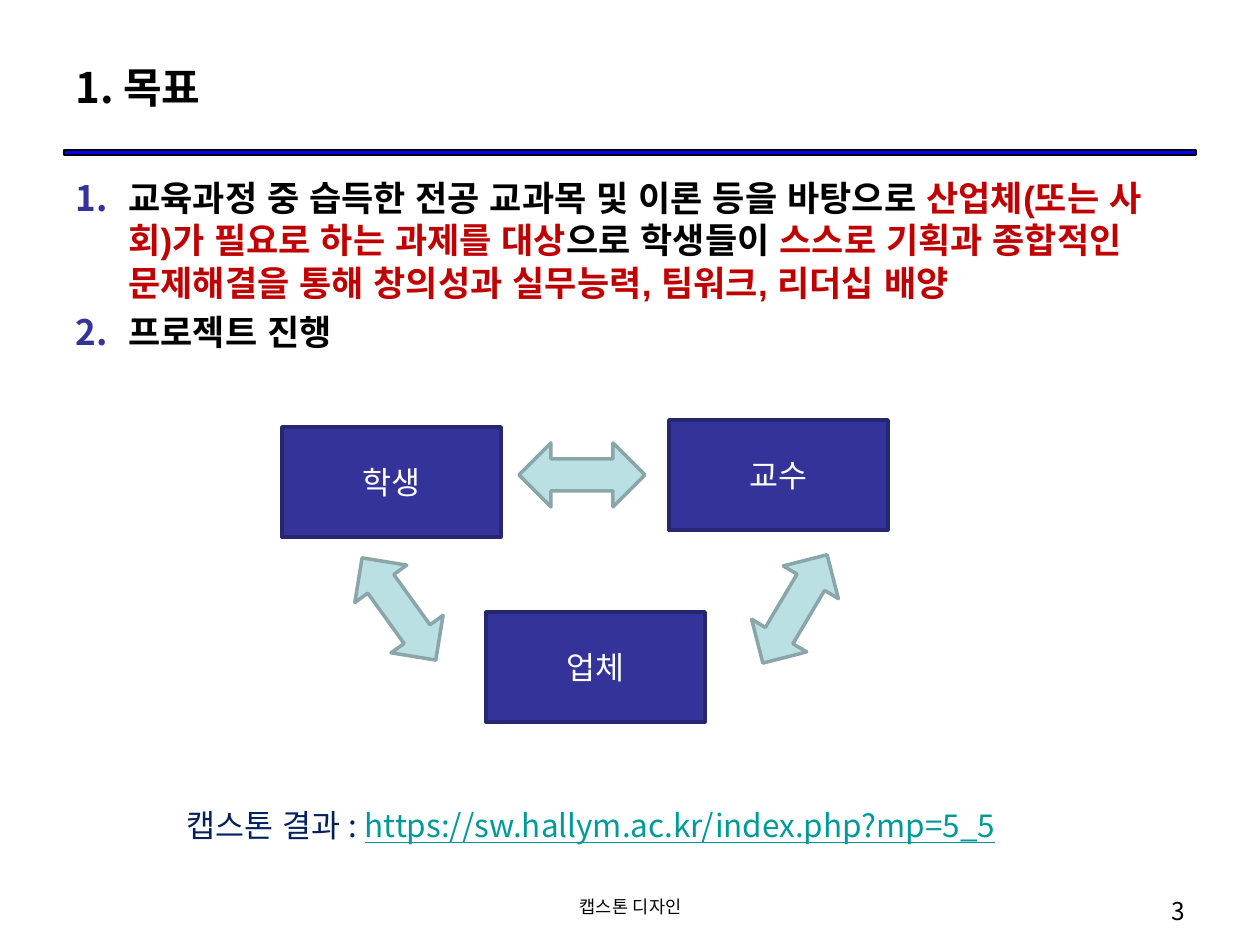
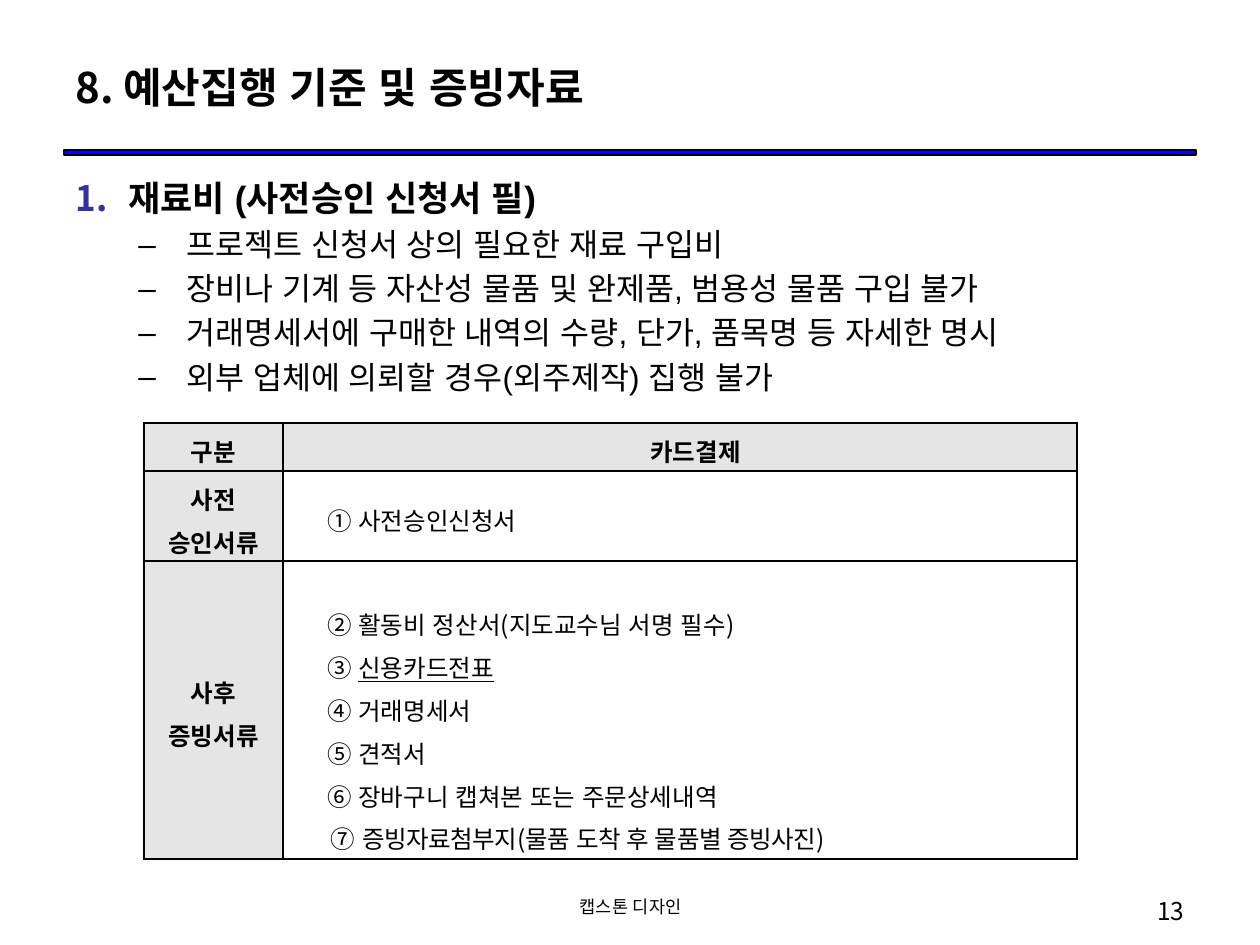
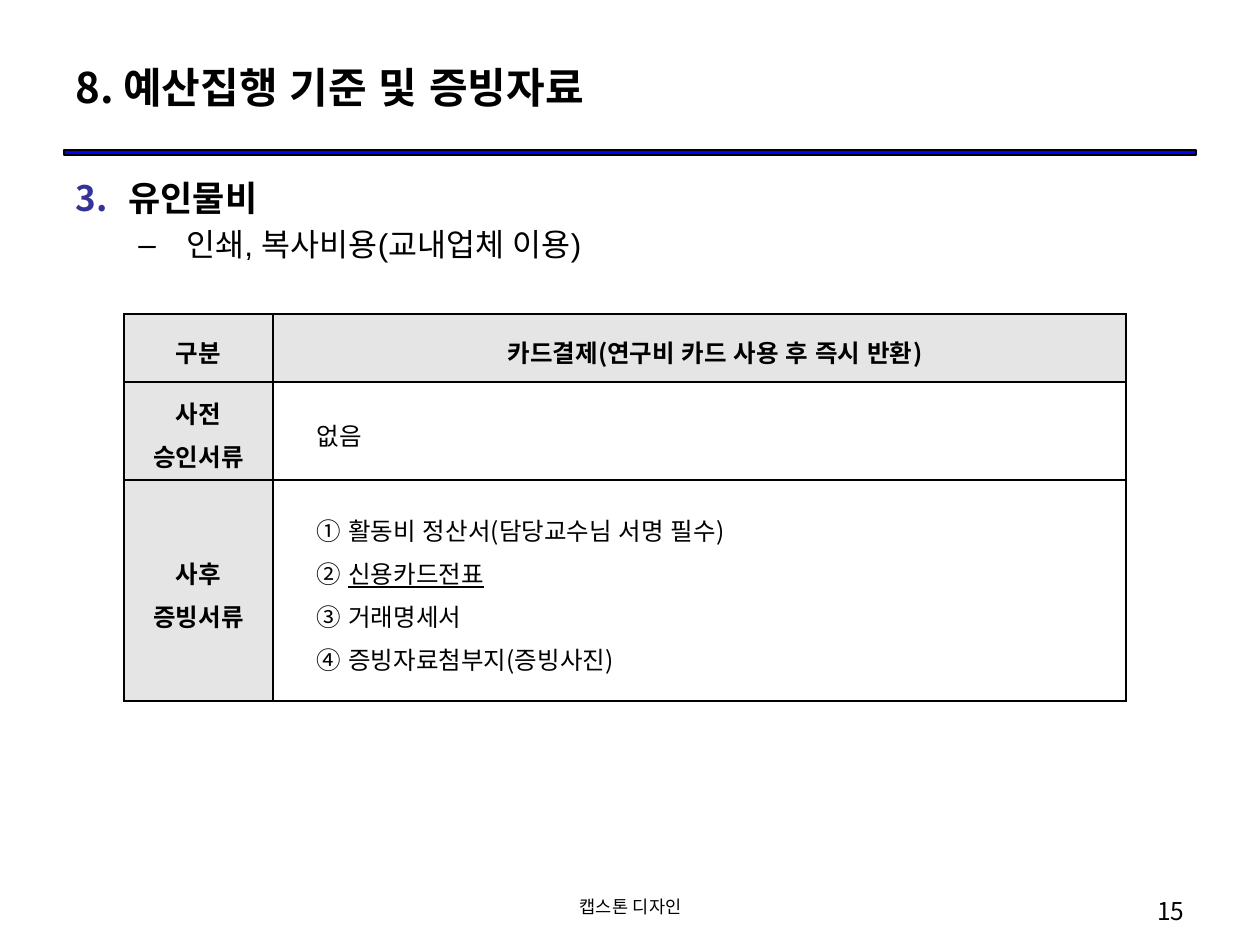
from lxml.etree import SubElement
from pptx import Presentation
from pptx.dml.color import RGBColor
from pptx.enum.lang import MSO_LANGUAGE_ID as Language
from pptx.enum.shapes import MSO_SHAPE as Shape
from pptx.enum.text import MSO_ANCHOR as Anchor, PP_ALIGN as Align
from pptx.oxml.ns import qn
from pptx.util import Pt

PX = 914400 / 126
SANS = "Noto Sans CJK KR"
LATIN = "Arial"
BLACK, WHITE, RED = "000000", "FFFFFF", "C00000"
INDIGO, INDIGO_EDGE = "333399", "262671"
PALE, PALE_EDGE = "BBE0E3", "8AA6A8"
NAVY, TEAL, GRAY, BLUE = "002060", "009999", "E5E5E5", "0000FF"
BUDGET = "8. 예산집행 기준 및 증빙자료"


def px(length):
    return round(length * PX)


def color(value):
    return RGBColor.from_string(value)


def put(paragraph, text, size=14, ink=BLACK, bold=False, underline=False,
        font=SANS, tracking=None):
    run = paragraph.add_run()
    run.text = text
    face = run.font
    face.size, face.bold, face.underline = Pt(size), bold, underline
    face.language_id = Language.KOREAN
    face.color.rgb = color(ink)
    face.name = font
    properties = run._r.get_or_add_rPr()
    SubElement(properties, qn("a:ea"), typeface=SANS)
    if tracking:
        properties.set("spc", str(tracking))


def indent(paragraph, left, hanging):
    properties = paragraph._p.get_or_add_pPr()
    properties.set("marL", str(px(left)))
    properties.set("indent", str(px(-hanging)))
    return properties


def paragraph_at(frame, index):
    return frame.paragraphs[0] if index == 0 else frame.add_paragraph()


class Deck:
    def __init__(self):
        self.show = Presentation()
        self.show.slide_width, self.show.slide_height = px(1260), px(945)
        self.slide = None

    def page(self, title, number):
        self.slide = self.show.slides.add_slide(self.show.slide_layouts[6])
        self.shape(Shape.RECTANGLE, 64, 150, 1132, 5, BLUE, BLACK, 0.75)
        self.text(63, 38, 1134, 97, [(title, dict(size=24, bold=True))], anchor=Anchor.MIDDLE)
        self.text(431, 890, 399, 37, [("캡스톤 디자인", dict(size=10))], Align.CENTER)
        self.text(903, 890, 294, 37, [(str(number), {})], Align.RIGHT)

    def box(self, x, y, w, h, wrap=True):
        frame = self.slide.shapes.add_textbox(px(x), px(y), px(w), px(h)).text_frame
        frame.word_wrap = wrap
        return frame

    def text(self, x, y, w, h, runs, align=Align.LEFT, anchor=Anchor.TOP, wrap=True):
        frame = self.box(x, y, w, h, wrap)
        frame.vertical_anchor = anchor
        paragraph = frame.paragraphs[0]
        paragraph.alignment = align
        for content, style in runs:
            put(paragraph, content, **style)

    def shape(self, kind, x, y, w, h, fill, edge, weight=2, rotation=0, label=None):
        shape = self.slide.shapes.add_shape(kind, px(x), px(y), px(w), px(h))
        shape.shadow.inherit = False
        shape.fill.solid()
        shape.fill.fore_color.rgb = color(fill)
        shape.line.color.rgb = color(edge)
        shape.line.width = Pt(weight)
        shape.rotation = rotation
        if label:
            shape.text_frame.vertical_anchor = Anchor.MIDDLE
            paragraph = shape.text_frame.paragraphs[0]
            paragraph.alignment = Align.CENTER
            put(paragraph, label, size=18, ink=WHITE)

    def outline(self, items, start=1):
        frame = self.box(63, 170, 1134, 719)
        frame.margin_top = px(7)
        for index, (level, runs) in enumerate(items):
            paragraph = paragraph_at(frame, index)
            size = (20, 18)[level]
            properties = indent(paragraph, *((53, 53), (111, 48))[level])
            if level:
                SubElement(properties, qn("a:buFont"), typeface=LATIN)
                SubElement(properties, qn("a:buChar"), char="–")
            else:
                tint = SubElement(properties, qn("a:buClr"))
                SubElement(tint, qn("a:srgbClr"), val=INDIGO)
                SubElement(properties, qn("a:buFont"), typeface=SANS)
                SubElement(properties, qn("a:buAutoNum"), type="arabicPeriod", startAt=str(start))
            paragraph.line_spacing = Pt(size * 1.2)
            if index:
                paragraph.space_before = Pt(size * 0.2)
            for content, ink in runs:
                put(paragraph, content, size=size, ink=ink, bold=level == 0, font=LATIN)

    def table(self, x, y, columns, heights, payment, before, after, top=3):
        grid = self.slide.shapes.add_table(
            3, 2, px(x), px(y), px(sum(columns)), px(sum(heights))).table
        grid.first_row = grid.horz_banding = False
        for column, width in zip(grid.columns, columns):
            column.width = px(width)
        for row, height in zip(grid.rows, heights):
            row.height = px(height)
        for row, name in enumerate(("구분", "사전 승인서류", "사후 증빙서류")):
            self.cell(grid.cell(row, 0), [name], heading=True)
        self.cell(grid.cell(0, 1), [payment], heading=True, hang=(50, 19))
        self.cell(grid.cell(1, 1), before, hang=(50, 19))
        self.cell(grid.cell(2, 1), after, hang=(50, 19), top=top)
        return grid

    def cell(self, cell, lines, heading=False, hang=None, top=3):
        cell.vertical_anchor = Anchor.MIDDLE
        cell.margin_left = cell.margin_right = px(13)
        cell.margin_top, cell.margin_bottom = px(top), px(3)
        properties = cell._tc.get_or_add_tcPr()
        for side in ("lnL", "lnR", "lnT", "lnB"):
            edge = SubElement(properties, qn("a:" + side), w=str(Pt(0.85)))
            paint = SubElement(edge, qn("a:solidFill"))
            SubElement(paint, qn("a:srgbClr"), val=BLACK)
        if heading:
            cell.fill.solid()
            cell.fill.fore_color.rgb = color(GRAY)
        else:
            cell.fill.background()
        for index, line in enumerate(lines):
            paragraph = paragraph_at(cell.text_frame, index)
            paragraph.alignment = Align.CENTER if heading else Align.JUSTIFY
            paragraph.line_spacing = 1.2
            if hang:
                indent(paragraph, *hang)
            runs = [(line, {})] if isinstance(line, str) else line
            for content, style in runs:
                put(paragraph, content, bold=heading, **style)


def card_slip(mark):
    return [(mark + " ", {}), ("신용카드전표", dict(underline=True))]


def goals(deck):
    deck.page("1. 목표", 3)
    deck.outline([
        (0, [("교육과정 중 습득한 전공 교과목 및 이론 등을 바탕으로 ", BLACK),
             ("산업체(또는 사회)가 필요로 하는 과제를 대상", RED),
             ("으로 학생들이 ", BLACK),
             ("스스로 기획과 종합적인 문제해결을 통해 창의성과 실무능력, 팀워크, 리더십 배양", RED)]),
        (0, [("프로젝트 진행", BLACK)]),
    ])
    for role, x, y in (("학생", 282, 427), ("교수", 669, 420), ("업체", 486, 612)):
        deck.shape(Shape.RECTANGLE, x, y, 219, 110, INDIGO, INDIGO_EDGE, label=role)
    for x, y, turn in ((367, 546, 324.2), (763, 546, 30.7), (550, 412, 90)):
        deck.shape(Shape.UP_DOWN_ARROW, x, y, 64, 126, PALE, PALE_EDGE, rotation=turn)
    deck.text(174, 800, 863, 50, [
        ("캡스톤 결과 : ", dict(size=18, ink=NAVY)),
        ("https://sw.hallym.ac.kr/index.php?mp=5_5", dict(size=18, ink=TEAL, underline=True)),
    ], wrap=False)


def materials(deck):
    deck.page(BUDGET, 13)
    rules = ("프로젝트 신청서 상의 필요한 재료 구입비",
             "장비나 기계 등 자산성 물품 및 완제품, 범용성 물품 구입 불가",
             "거래명세서에 구매한 내역의 수량, 단가, 품목명 등 자세한 명시",
             "외부 업체에 의뢰할 경우(외주제작) 집행 불가")
    deck.outline([(0, [("재료비 (사전승인 신청서 필)", BLACK)])]
                 + [(1, [(rule, BLACK)]) for rule in rules])
    evidence = ["② 활동비 정산서(지도교수님 서명 필수)", card_slip("③"), "④ 거래명세서",
                "⑤ 견적서", "⑥ 장바구니 캡쳐본 또는 주문상세내역",
                [("⑦ ", {}), ("증빙자료첨부지(물품 도착 후 물품별 증빙사진)", dict(tracking=-30))]]
    grid = deck.table(144, 423, (139, 794), (48, 90, 298), "카드결제",
                      ["① 사전승인신청서"], evidence, top=38)
    indent(grid.cell(2, 1).text_frame.paragraphs[-1], 59, 24)


def printing(deck):
    deck.page(BUDGET, 15)
    deck.outline([(0, [("유인물비", BLACK)]),
                  (1, [("인쇄, 복사비용(교내업체 이용)", BLACK)])], start=3)
    evidence = ["① 활동비 정산서(담당교수님 서명 필수)", card_slip("②"), "③ 거래명세서",
                "④ 증빙자료첨부지(증빙사진)"]
    deck.table(124, 314, (149, 853), (68, 98, 221),
               "카드결제(연구비 카드 사용 후 즉시 반환)", ["없음"], evidence)


def main():
    deck = Deck()
    goals(deck)
    materials(deck)
    printing(deck)
    deck.show.save("out.pptx")


if __name__ == "__main__":
    main()
